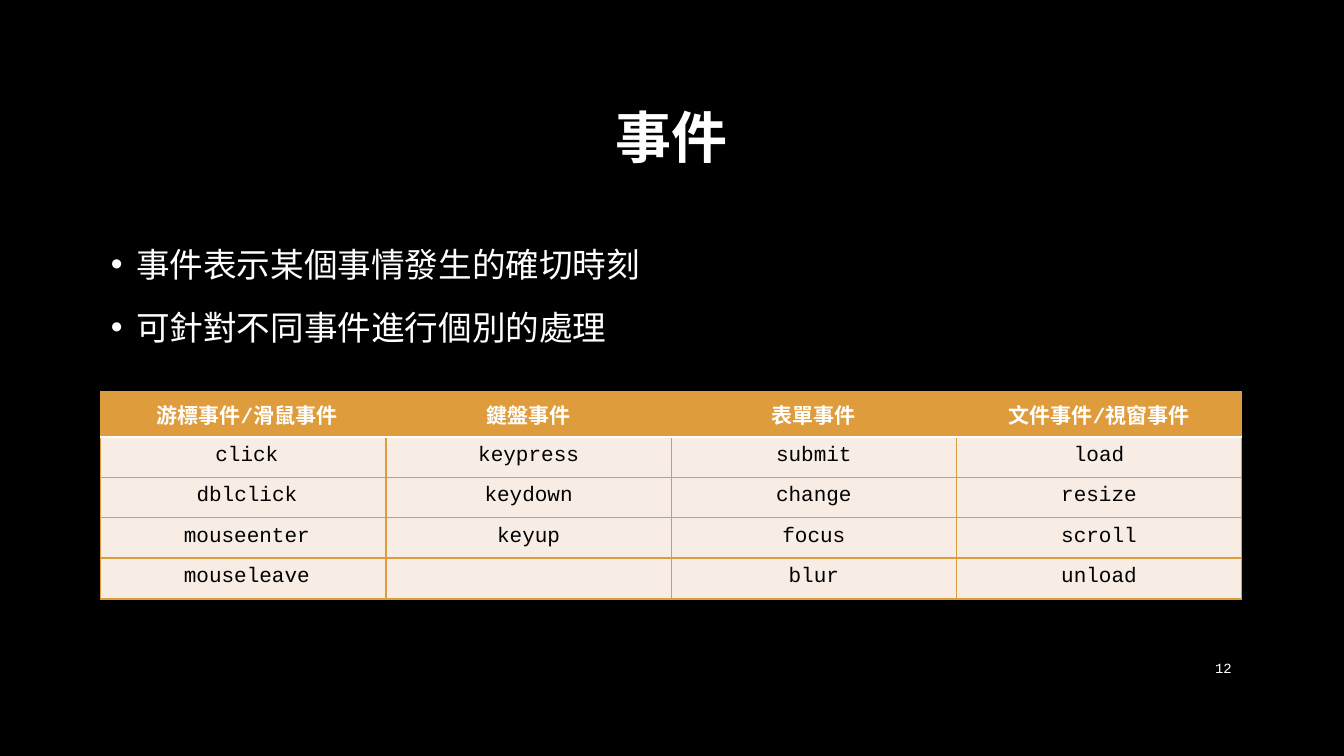
"""Build the slide on events: a title, two bullets and a table of event names."""
from lxml import etree
from pptx import Presentation
from pptx.dml.color import RGBColor
from pptx.enum import text
from pptx.oxml.ns import qn
from pptx.util import Pt

TITLE = "事件"
BULLETS = ["事件表示某個事情發生的確切時刻", "可針對不同事件進行個別的處理"]
EVENTS = [
    ("游標事件/滑鼠事件", "鍵盤事件", "表單事件", "文件事件/視窗事件"),
    ("click", "keypress", "submit", "load"),
    ("dblclick", "keydown", "change", "resize"),
    ("mouseenter", "keyup", "focus", "scroll"),
    ("mouseleave", "", "blur", "unload"),
]
PAGE = "12"
FONT = "Courier New"
BLACK, WHITE, ORANGE, CREAM = "000000", "FFFFFF", "DE9C3C", "F8EDE4"
LEFT, WIDTH, ROW_H = 72, 815, 28.9
PAD, FIRST_PAD = 5, 10


def color(value):
    return RGBColor.from_string(value)


def place(sp, left, top, width, height):
    sp.left, sp.top, sp.width, sp.height = map(Pt, (left, top, width, height))


def add_run(p, words, size, ink=WHITE, bold=False):
    r = p.add_run()
    r.text = words
    r.font.name, r.font.size, r.font.bold = FONT, Pt(size), bold
    r.font.color.rgb = color(ink)


def add_border(cell, side, ink, width):
    ln = etree.SubElement(cell._tc.get_or_add_tcPr(), qn("a:ln" + side), w=str(Pt(width)))
    fill = etree.SubElement(ln, qn("a:solidFill"))
    etree.SubElement(fill, qn("a:srgbClr"), val=ink)


def add_title(s):
    sp = s.shapes.title
    place(sp, LEFT, 48, WIDTH, 104.4)
    tf = sp.text_frame
    tf.vertical_anchor = text.MSO_ANCHOR.MIDDLE
    p = tf.paragraphs[0]
    p.alignment, p.line_spacing = text.PP_ALIGN.CENTER, 0.9
    add_run(p, TITLE, 40, bold=True)


def add_bullets(s):
    sp = s.placeholders[1]
    place(sp, LEFT, 165, WIDTH, 291)
    tf = sp.text_frame
    tf.auto_size = text.MSO_AUTO_SIZE.NONE
    for i, words in enumerate(BULLETS):
        p = tf.add_paragraph() if i else tf.paragraphs[0]
        p.line_spacing, p.space_before = 1.2, Pt(10)
        add_run(p, words, 24)
        pPr = p._p.get_or_add_pPr()
        pPr.set("marL", str(Pt(18)))
        pPr.set("indent", str(Pt(-18)))
        etree.SubElement(pPr, qn("a:buFont"), typeface="Arial")
        etree.SubElement(pPr, qn("a:buChar"), char="•")


def add_events(s):
    rows, cols = len(EVENTS), len(EVENTS[0])
    frame = s.shapes.add_table(rows, cols, Pt(LEFT), Pt(280), Pt(WIDTH), Pt(ROW_H * rows))
    for i, names in enumerate(EVENTS):
        head = i == 0
        for j, name in enumerate(names):
            cell = frame.table.cell(i, j)
            for side in "LRTB":
                rule = (side == "B" and head) or (side == "T" and i == 1)
                add_border(cell, side, *((WHITE, 1.5) if rule else (ORANGE, 1)))
            cell.fill.solid()
            cell.fill.fore_color.rgb = color(ORANGE if head else CREAM)
            if name:
                cell.margin_left = Pt(PAD if j else FIRST_PAD)
                cell.margin_right = cell.margin_top = cell.margin_bottom = Pt(PAD)
                p = cell.text_frame.paragraphs[0]
                p.alignment = text.PP_ALIGN.CENTER
                add_run(p, name, 15, WHITE if head else BLACK, head)


def add_page_number(s):
    tf = s.shapes.add_textbox(Pt(828), Pt(463), Pt(59), Pt(28.8)).text_frame
    tf.word_wrap = True
    tf.vertical_anchor = text.MSO_ANCHOR.MIDDLE
    p = tf.paragraphs[0]
    p.alignment = text.PP_ALIGN.RIGHT
    add_run(p, PAGE, 10)


def main():
    prs = Presentation()
    prs.slide_width, prs.slide_height = Pt(960), Pt(540)
    s = prs.slides.add_slide(prs.slide_layouts[1])
    s.background.fill.solid()
    s.background.fill.fore_color.rgb = color(BLACK)
    add_title(s)
    add_bullets(s)
    add_events(s)
    add_page_number(s)
    prs.save("out.pptx")


if __name__ == "__main__":
    main()
